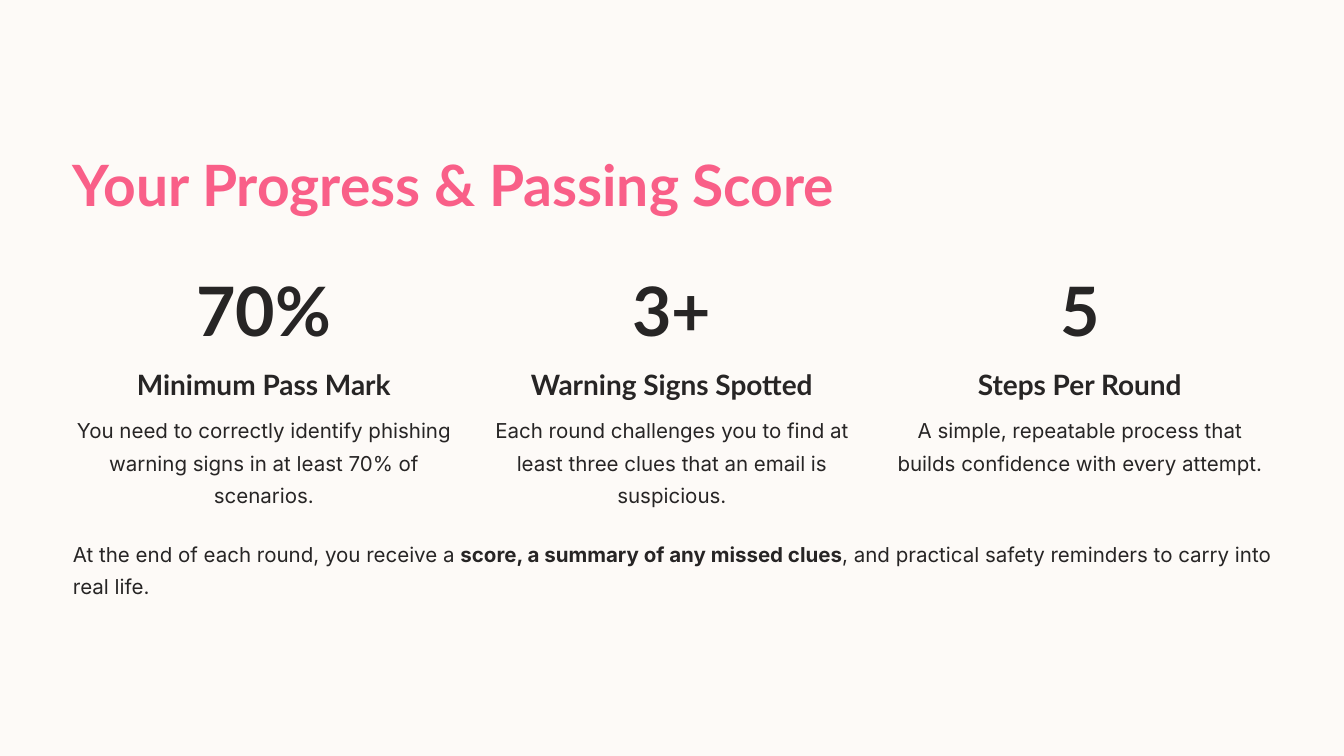
"""Build the slide on progress and passing score."""
from dataclasses import dataclass

from pptx import Presentation
from pptx import util as u
from pptx.dml.color import RGBColor
from pptx.enum import shapes, text
from pptx.shapes.autoshape import Shape
from pptx.slide import Slide

HUES = {"base": "FAF2E9", "page": "FDFAF7", "title": "F95F88", "ink": "272525"}
WIDE, HIGH = 1440, 810
LEFT, STEP, WIDTH = 78.2, 437.1, 409
ALIGN = text.PP_ALIGN


@dataclass(frozen=True)
class Style:
    font: str
    size: float
    lead: float
    hue: str = "ink"
    bold: bool = False


@dataclass(frozen=True)
class Box:
    left: float
    top: float
    width: float
    height: float


@dataclass(frozen=True)
class Stat:
    value: str
    label: str
    note: str
    span: float = 306.7
    depth: float = 113.8


TITLE = Style("Lato", 61, 76, "title", True)
VALUE = Style("Lato", 73, 73, bold=True)
LABEL = Style("Lato", 30, 38, bold=True)
BODY = Style("Inter", 22, 35)
STRONG = Style("Inter", 22, 35, bold=True)

STATS = [
    Stat("70%", "Minimum Pass Mark",
         "You need to correctly identify phishing warning signs in at least 70% of scenarios."),
    Stat("3+", "Warning Signs Spotted",
         "Each round challenges you to find at least three clues that an email is suspicious.",
         span=321.1),
    Stat("5", "Steps Per Round",
         "A simple, repeatable process that builds confidence with every attempt.",
         depth=78.5),
]
CLOSE = [
    ("At the end of each round, you receive a ", BODY),
    ("score, a summary of any missed clues", STRONG),
    (", and practical safety reminders to carry into real life.", BODY),
]


def panel(slide: Slide, hue: str) -> None:
    """Cover the slide with a plain colour."""
    shape = slide.shapes.add_shape(shapes.MSO_SHAPE.RECTANGLE, 0, 0, u.Pt(WIDE), u.Pt(HIGH))
    shape.shadow.inherit = False
    shape.fill.solid()
    shape.fill.fore_color.rgb = RGBColor.from_string(HUES[hue])
    shape.line.fill.background()


def write(shape: Shape, box: Box, runs: list[tuple[str, Style]], align: ALIGN) -> None:
    """Place a shape and fill it with one paragraph of runs."""
    shape.left, shape.top = u.Pt(box.left), u.Pt(box.top)
    shape.width, shape.height = u.Pt(box.width), u.Pt(box.height)
    frame = shape.text_frame
    frame.word_wrap = True
    frame.auto_size = text.MSO_AUTO_SIZE.NONE
    frame.vertical_anchor = text.MSO_ANCHOR.TOP
    frame.margin_left = frame.margin_right = frame.margin_top = frame.margin_bottom = 0
    para = frame.paragraphs[0]
    para.alignment = align
    para.line_spacing = u.Pt(runs[0][1].lead)
    for words, style in runs:
        run = para.add_run()
        run.text = words
        font = run.font
        font.name, font.size, font.bold = style.font, u.Pt(style.size), style.bold
        font.color.rgb = RGBColor.from_string(HUES[style.hue])


def label(slide: Slide, box: Box, runs: list[tuple[str, Style]],
          align: ALIGN = ALIGN.CENTER) -> None:
    """Add a text box."""
    write(slide.shapes.add_textbox(0, 0, 0, 0), box, runs, align)


def draw(slide: Slide, stat: Stat, left: float) -> None:
    """Draw one column with its figure, heading and note."""
    inset = (WIDTH - stat.span) / 2
    label(slide, Box(left, 302.4, WIDTH, 64), [(stat.value, VALUE)])
    label(slide, Box(left + inset, 392, stat.span, 40), [(stat.label, LABEL)])
    label(slide, Box(left, 439.2, WIDTH, stat.depth), [(stat.note, BODY)])


def main() -> None:
    """Build and save the deck."""
    deck = Presentation()
    deck.slide_width, deck.slide_height = u.Pt(WIDE), u.Pt(HIGH)
    slide = deck.slides.add_slide(deck.slide_layouts[5])
    for hue in ("base", "page"):
        panel(slide, hue)
    title = slide.shapes.title
    title.element.getparent().append(title.element)
    write(title, Box(LEFT, 157, 848, 80),
          [("Your Progress & Passing Score", TITLE)], ALIGN.LEFT)
    for index, stat in enumerate(STATS):
        draw(slide, stat, LEFT + index * STEP)
    label(slide, Box(LEFT, 571.7, 1283.8, 78.5), CLOSE, ALIGN.LEFT)
    deck.save("out.pptx")


if __name__ == "__main__":
    main()
